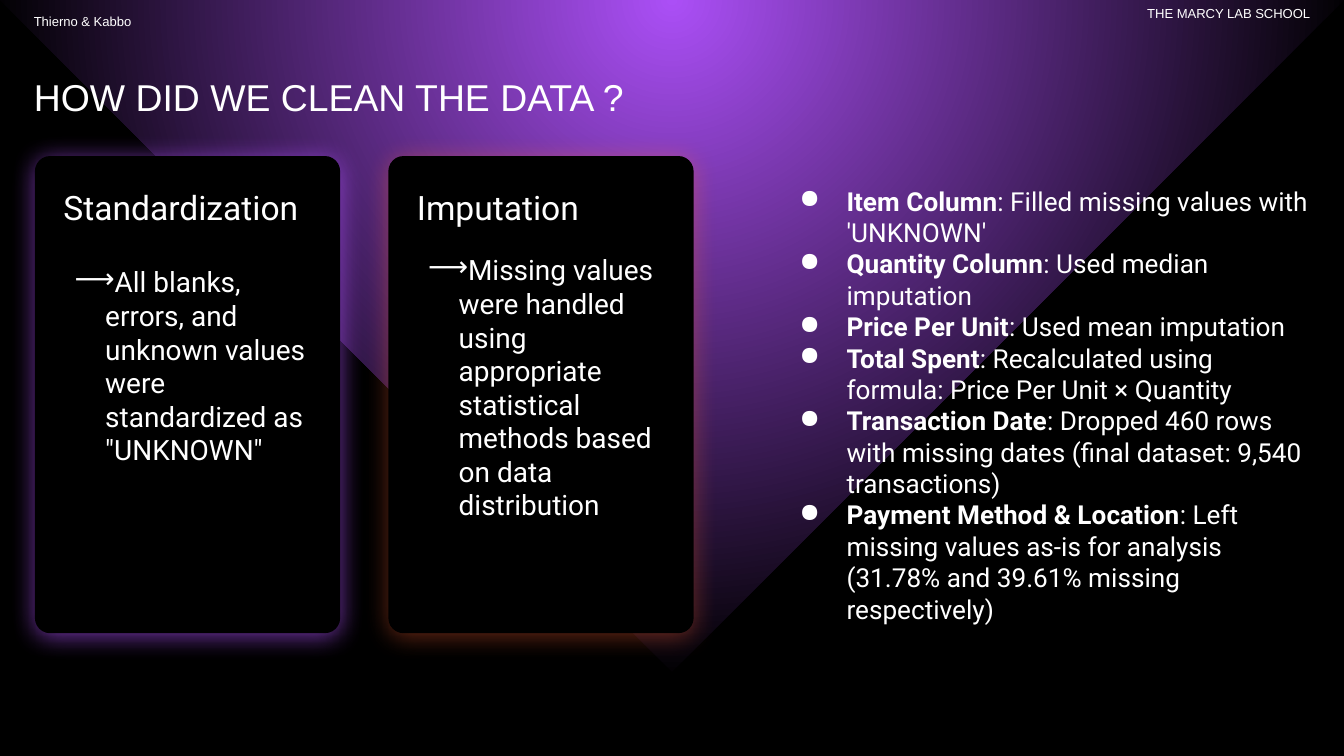
from lxml.etree import SubElement, fromstring
from pptx import Presentation
from pptx.dml.color import RGBColor
from pptx.enum.shapes import MSO_SHAPE as Shape
from pptx.enum.text import MSO_ANCHOR as Anchor, PP_ALIGN as Align
from pptx.oxml.ns import nsdecls, qn
from pptx.util import Cm, Pt

BLACK = RGBColor(0x00, 0x00, 0x00)
WHITE = RGBColor(0xFF, 0xFF, 0xFF)
PURPLE = RGBColor(0xAB, 0x4F, 0xF6)
ORANGE = RGBColor(0xFF, 0x62, 0x34)

PAGE_WIDTH, PAGE_HEIGHT = 25.4, 14.29
MARGIN = 0.64
CARD_TOP, CARD_WIDTH, CARD_HEIGHT = 2.95, 5.77, 9.02
CARD_PITCH = 6.68

# Heading, text, glow colour, glow opacity in percent, drop from card top to text
CARDS = [
    ("Standardization",
     'All blanks, errors, and unknown values were standardized as "UNKNOWN"',
     PURPLE, 65, 2.06),
    ("Imputation",
     "Missing values were handled using appropriate statistical methods "
     "based on data distribution",
     ORANGE, 40, 1.83),
]

COLUMN_STEPS = [
    ("Item Column", "Filled missing values with 'UNKNOWN'"),
    ("Quantity Column", "Used median imputation"),
    ("Price Per Unit", "Used mean imputation"),
    ("Total Spent", "Recalculated using formula: Price Per Unit × Quantity"),
    ("Transaction Date",
     "Dropped 460 rows with missing dates (final dataset: 9,540 transactions)"),
    ("Payment Method & Location",
     "Left missing values as-is for analysis "
     "(31.78% and 39.61% missing respectively)"),
]


def set_bullet(para, char, indent, hanging):
    props = para._p.get_or_add_pPr()
    props.set("marL", str(Cm(indent)))
    props.set("indent", str(-Cm(hanging)))
    colour = SubElement(props, qn("a:buClr"))
    SubElement(colour, qn("a:srgbClr"), val=str(WHITE))
    SubElement(props, qn("a:buChar"), char=char)


def add_text(page, box, paragraphs, size, font="Roboto", align=Align.LEFT,
             anchor=Anchor.TOP, inset=0, spacing=None, bullet=None):
    """Each paragraph is a list of (text, bold) spans; box is in centimetres."""
    frame = page.shapes.add_textbox(*map(Cm, box)).text_frame
    frame.word_wrap = True
    frame.vertical_anchor = anchor
    frame.margin_left = frame.margin_right = Cm(inset)
    frame.margin_top = frame.margin_bottom = Cm(inset)
    for index, spans in enumerate(paragraphs):
        para = frame.add_paragraph() if index else frame.paragraphs[0]
        if bullet:
            set_bullet(para, *bullet)
        para.alignment = align
        if spacing:
            para.line_spacing = spacing
        for text, bold in spans:
            span = para.add_run()
            span.text = text
            span.font.name = font
            span.font.size = Pt(size)
            span.font.bold = bold
            span.font.color.rgb = WHITE


def add_plain_shape(page, kind, box):
    shape = page.shapes.add_shape(kind, *map(Cm, box))
    shape.line.fill.background()
    shape.shadow.inherit = False
    return shape


def add_backdrop(page):
    """Black page with a purple spotlight shining down from the top centre."""
    page.background.fill.solid()
    page.background.fill.fore_color.rgb = BLACK
    side = PAGE_WIDTH / 2 ** 0.5
    box = ((PAGE_WIDTH - side) / 2, -side / 2, side, side)
    spotlight = add_plain_shape(page, Shape.RIGHT_TRIANGLE, box)
    spotlight.rotation = 315
    stops = "".join(
        f'<a:gs pos="{position * 1000}"><a:srgbClr val="{colour}"/></a:gs>'
        for position, colour in ((0, PURPLE), (72, BLACK), (100, BLACK)))
    gradient = fromstring(
        f'<a:gradFill {nsdecls("a")} rotWithShape="1"><a:gsLst>{stops}</a:gsLst>'
        '<a:path path="circle">'
        '<a:fillToRect l="50000" t="50000" r="50000" b="50000"/>'
        '</a:path></a:gradFill>')
    spotlight._element.spPr.find(qn("a:prstGeom")).addnext(gradient)


def add_glow(shape, colour, opacity):
    effects = shape._element.spPr.find(qn("a:effectLst"))
    glow = SubElement(effects, qn("a:outerShdw"), blurRad=str(Pt(13.5)),
                      dist=str(Pt(1.5)), dir="5400000", algn="bl",
                      rotWithShape="0")
    tint = SubElement(glow, qn("a:srgbClr"), val=str(colour))
    SubElement(tint, qn("a:alpha"), val=str(opacity * 1000))


def add_card(page, box, heading, text, glow, opacity, text_drop):
    left, top, width, _ = box
    card = add_plain_shape(page, Shape.ROUNDED_RECTANGLE, box)
    card.adjustments[0] = 0.05
    card.fill.solid()
    card.fill.fore_color.rgb = BLACK
    add_glow(card, glow, opacity)

    padding = 0.54
    inner_left, inner_width = left + padding, width - 2 * padding
    add_text(page, (inner_left, top + 0.64, inner_width, 1.19),
             [[(heading, False)]], 18, spacing=0.95)
    add_text(page, (inner_left, top + text_drop, inner_width, 1.98),
             [[(text, False)]], 15, bullet=("⟶", 0.79, 0.58))


def add_header(page, box):
    left, top, width, height = box
    label_width = 6.93
    add_text(page, (left, top + 0.15, label_width, height),
             [[("Thierno & Kabbo", False)]], 7, font="Arial",
             anchor=Anchor.MIDDLE)
    add_text(page, (left + width - label_width, top, label_width, height),
             [[("THE MARCY LAB SCHOOL", False)]], 7, font="Arial",
             align=Align.RIGHT, anchor=Anchor.MIDDLE)


def add_column_steps(page, box):
    paragraphs = [[(name, True), (f": {step}", False)]
                  for name, step in COLUMN_STEPS]
    add_text(page, box, paragraphs, 14, inset=0.25, bullet=("●", 1.27, 0.89))


def main():
    deck = Presentation()
    deck.slide_width, deck.slide_height = Cm(PAGE_WIDTH), Cm(PAGE_HEIGHT)
    page = deck.slides.add_slide(deck.slide_layouts[6])

    add_backdrop(page)
    add_header(page, (MARGIN, 0.01, PAGE_WIDTH - 2 * MARGIN, 0.48))
    add_text(page, (MARGIN, 1.27, 11.56, 1.3),
             [[("HOW DID WE CLEAN THE DATA ?", False)]], 20, font="Arial",
             spacing=1.15)
    for index, card in enumerate(CARDS):
        left = MARGIN + 0.02 + index * CARD_PITCH
        add_card(page, (left, CARD_TOP, CARD_WIDTH, CARD_HEIGHT), *card)
    add_column_steps(page, (14.48, 3.25, 10.64, 8.08))

    deck.save("out.pptx")


if __name__ == "__main__":
    main()
